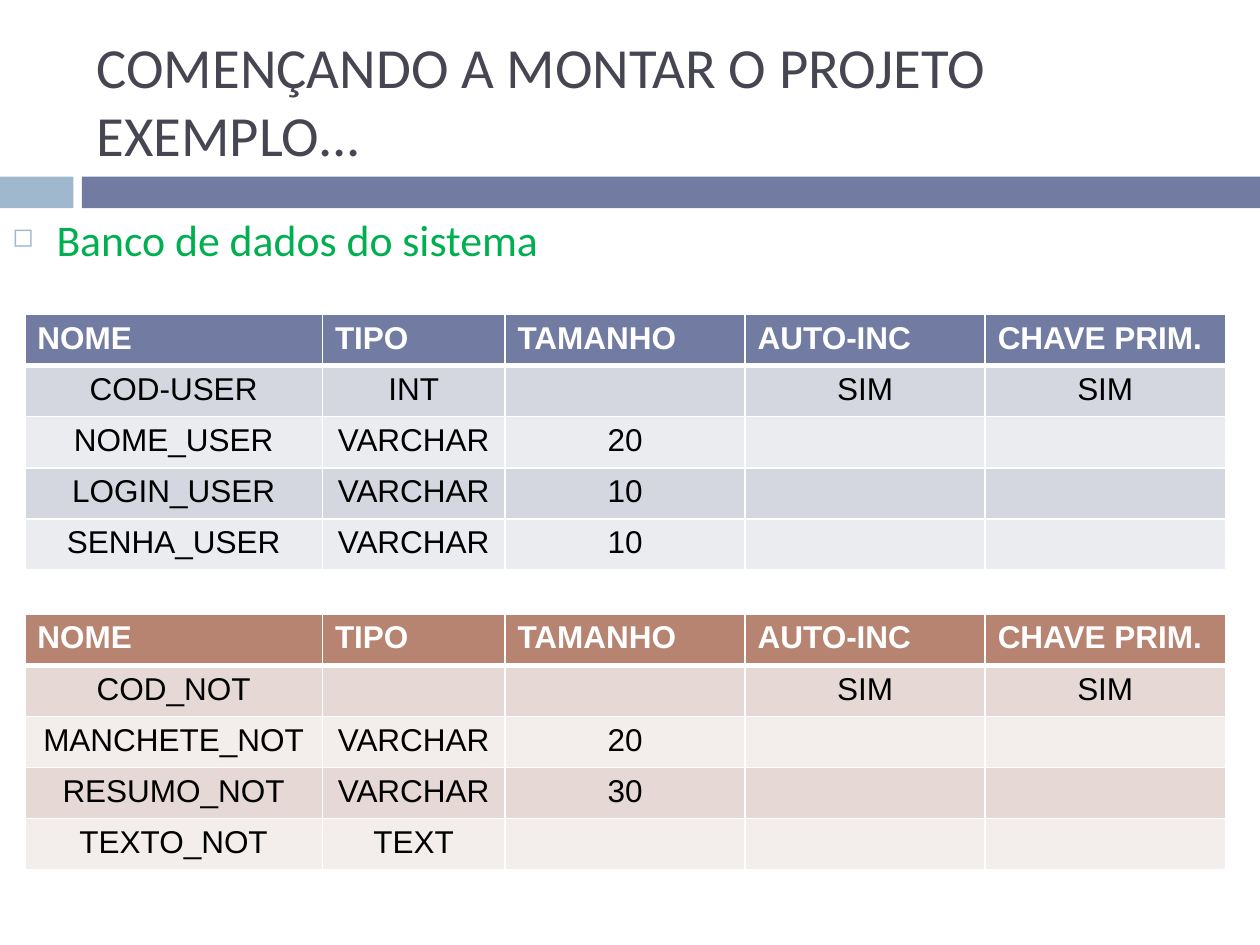
from lxml.etree import SubElement
from pptx import Presentation
from pptx.dml.color import RGBColor as RGB
from pptx.enum.shapes import MSO_SHAPE as SHAPE
from pptx.enum.text import MSO_ANCHOR as ANCHOR, PP_ALIGN as ALIGN
from pptx.oxml import parse_xml
from pptx.oxml.ns import nsdecls, qn
from pptx.util import Cm, Pt

COLORS = {
    "light_bar": "9FB8CD", "bar": "727CA3", "title": "464653",
    "green": "00B050", "white": "FFFFFF", "black": "000000",
}
# Header, odd row and even row fills
BLUE = ("727CA3", "D5D7E0", "EBECF0")
BROWN = ("B88472", "E6D9D5", "F3EDEB")

HEADER = ("NOME", "TIPO", "TAMANHO", "AUTO-INC", "CHAVE PRIM.")
USERS = (
    ("COD-USER", "INT", "", "SIM", "SIM"),
    ("NOME_USER", "VARCHAR", "20", "", ""),
    ("LOGIN_USER", "VARCHAR", "10", "", ""),
    ("SENHA_USER", "VARCHAR", "10", "", ""),
)
NEWS = (
    ("COD_NOT", "", "", "SIM", "SIM"),
    ("MANCHETE_NOT", "VARCHAR", "20", "", ""),
    ("RESUMO_NOT", "VARCHAR", "30", "", ""),
    ("TEXTO_NOT", "TEXT", "", "", ""),
)
COL_WIDTHS = (6, 3.68, 4.84, 4.84, 4.84)
ROW_HEIGHT = 1.03


def write(p, text, color, **formats):
    r = p.add_run()
    r.text = text
    for name, value in formats.items():
        setattr(r.font, name, value)
    r.font.color.rgb = RGB.from_string(COLORS[color])


def add_text(s, box, text, color, size, anchor):
    tf = s.shapes.add_textbox(*map(Cm, box)).text_frame
    tf.word_wrap = True
    tf.vertical_anchor = anchor
    p = tf.paragraphs[0]
    write(p, text, color, name="Calibri", size=Pt(size))
    return p


def add_band(s, left, top, width, height):
    split, gap = 1.48, 0.17
    rest = split + gap
    for x, w, color in ((left, split, "light_bar"),
                        (left + rest, width - rest, "bar")):
        sp = s.shapes.add_shape(SHAPE.RECTANGLE, Cm(x), Cm(top), Cm(w), Cm(height))
        sp.shadow.inherit = False
        sp.fill.solid()
        sp.fill.fore_color.rgb = RGB.from_string(COLORS[color])
        sp.line.fill.background()


def add_bullet(s, box, text):
    p = add_text(s, box, text, "green", 25, ANCHOR.TOP)
    p.space_before = Pt(7)
    pPr = p._p.get_or_add_pPr()
    pPr.set("marL", str(Cm(0.89)))
    pPr.set("indent", str(Cm(-0.89)))
    color = SubElement(pPr, qn("a:buClr"))
    SubElement(color, qn("a:srgbClr"), val=COLORS["light_bar"])
    SubElement(pPr, qn("a:buSzPct"), val="60000")
    SubElement(pPr, qn("a:buChar"), char="◻")


def set_borders(cell, widths):
    tcPr = cell._tc.get_or_add_tcPr()
    for i, (side, width) in enumerate(zip("LRTB", widths)):
        tcPr.insert(i, parse_xml(
            f'<a:ln{side} {nsdecls("a")} w="{Pt(width)}"><a:solidFill>'
            f'<a:srgbClr val="{COLORS["white"]}"/></a:solidFill></a:ln{side}>'))


def add_fields_table(s, left, top, records, fills):
    rows = (HEADER, *records)
    table = s.shapes.add_table(
        len(rows), len(HEADER), Cm(left), Cm(top),
        Cm(sum(COL_WIDTHS)), Cm(ROW_HEIGHT * len(rows))).table
    for col, width in zip(table.columns, COL_WIDTHS):
        col.width = Cm(width)
    for i, values in enumerate(rows):
        table.rows[i].height = Cm(ROW_HEIGHT)
        head = i == 0
        fill = fills[0] if head else fills[2 - i % 2]
        # The line under the header is thicker
        widths = (1, 1, 3 if i == 1 else 1, 3 if head else 1)
        for j, text in enumerate(values):
            cell = table.cell(i, j)
            cell.fill.solid()
            cell.fill.fore_color.rgb = RGB.from_string(fill)
            set_borders(cell, widths)
            if text:
                p = cell.text_frame.paragraphs[0]
                p.alignment = ALIGN.LEFT if head else ALIGN.CENTER
                write(p, text, "white" if head else "black",
                      name="Arial", size=Pt(18), bold=head)


prs = Presentation()
prs.slide_width, prs.slide_height = Cm(25.4), Cm(19.05)
s = prs.slides.add_slide(prs.slide_layouts[6])

# Heading
add_band(s, 0, 3.56, 25.4, 0.64)
add_text(s, (1.7, 0.64, 22.66, 2.74), "COMENÇANDO A MONTAR O PROJETO EXEMPLO...",
         "title", 32.4, ANCHOR.MIDDLE)

# Body
add_bullet(s, (0, 4.17, 25.4, 14.88), "Banco de dados do sistema")
for top, records, fills in ((6.34, USERS, BLUE), (12.38, NEWS, BROWN)):
    add_fields_table(s, 0.5, top, records, fills)

prs.save("out.pptx")
